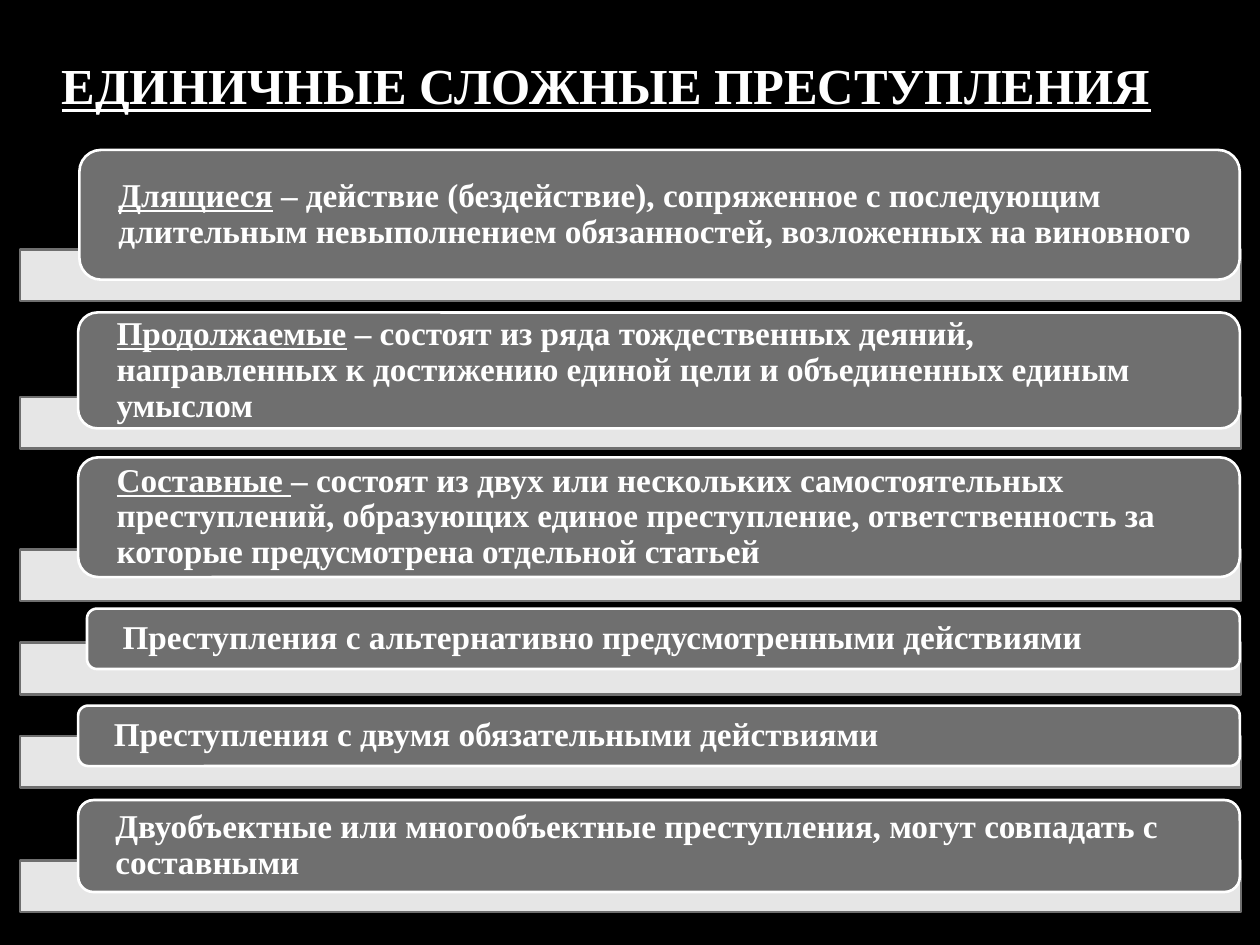
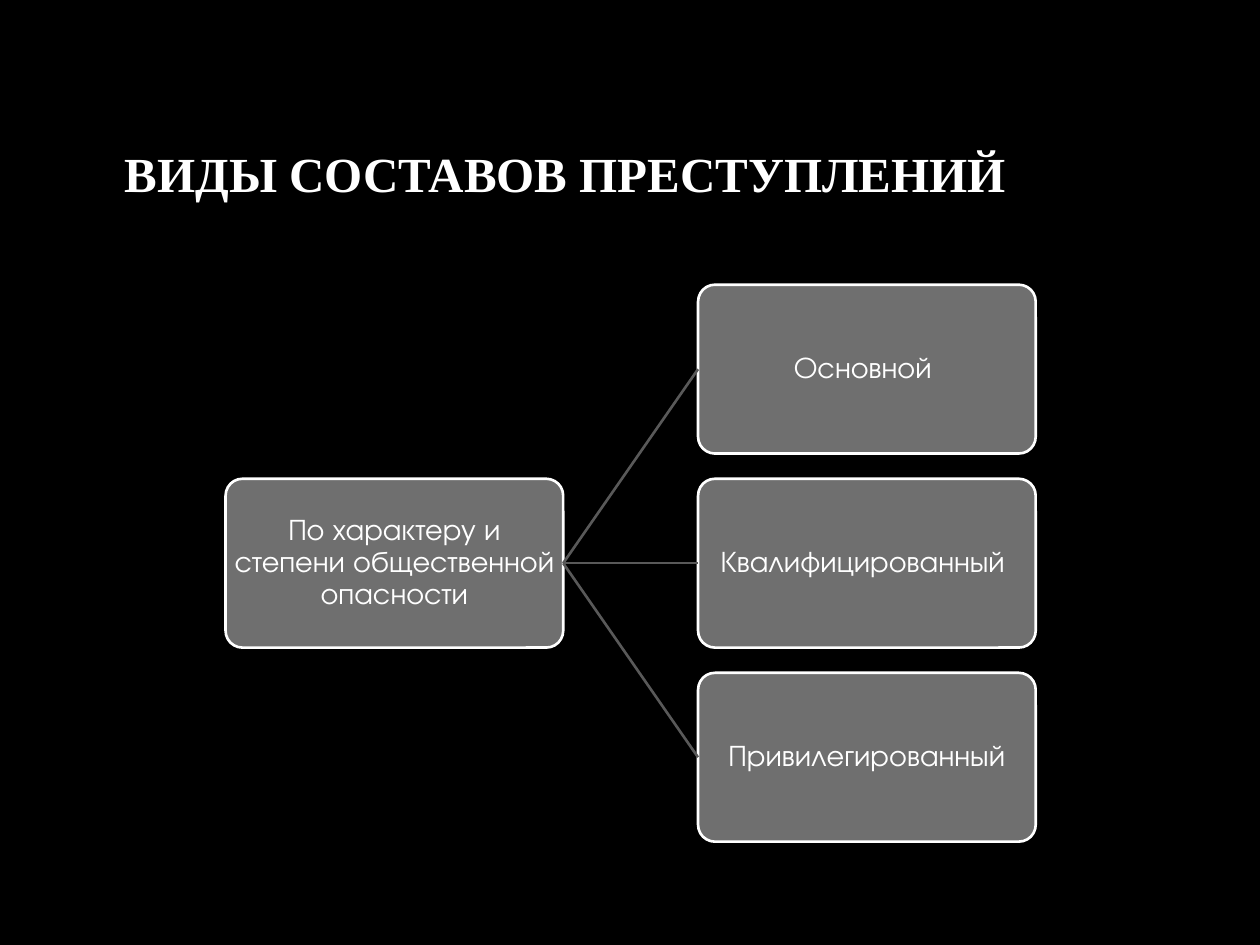
import dataclasses
import pptx
import pptx.util
import pptx.dml.color
import pptx.enum.shapes
import pptx.enum.text
import pptx.oxml.ns
import lxml.etree

Inches = pptx.util.Inches
Pt = pptx.util.Pt
ALIGN = pptx.enum.text.PP_ALIGN
SHAPE = pptx.enum.shapes.MSO_SHAPE


@dataclasses.dataclass(frozen=True)
class Theme:
    background: str = "000000"
    text: str = "FFFFFF"
    box: str = "6F6F6F"
    bar: str = "E6E6E6"
    link: str = "595959"
    serif: str = "Times New Roman"
    sans: str = "TeX Gyre Adventor"
    list_size: float = 19
    node_size: float = 17
    line: float = 1.5


def rgb(value):
    return pptx.dml.color.RGBColor.from_string(value)


def write(tf, paragraphs, *, font, size, color, bold=False,
          align=ALIGN.LEFT, spacing=None, margins=None):
    tf.word_wrap = True
    tf.auto_size = pptx.enum.text.MSO_AUTO_SIZE.NONE
    tf.vertical_anchor = pptx.enum.text.MSO_ANCHOR.MIDDLE
    if margins:
        tf.margin_left = tf.margin_right = Inches(margins[0])
        tf.margin_top = tf.margin_bottom = Inches(margins[1])
    for i, runs in enumerate(paragraphs):
        p = tf.add_paragraph() if i else tf.paragraphs[0]
        p.alignment = align
        p.line_spacing = spacing
        for text, underline in runs:
            r = p.add_run()
            r.text = text
            r.font.name = font
            r.font.size = Pt(size)
            r.font.bold = bold
            r.font.underline = underline
            r.font.color.rgb = rgb(color)


class Deck:
    def __init__(self, theme):
        self.theme = theme
        self.prs = pptx.Presentation()
        self.prs.slide_width = Inches(10)
        self.prs.slide_height = Inches(7.5)
        fill = self.prs.slide_master.background.fill
        fill.solid()
        fill.fore_color.rgb = rgb(theme.background)
        self.s = None

    def slide(self):
        self.s = self.prs.slides.add_slide(self.prs.slide_layouts[5])

    def title(self, text, x, y, w, h, size, underline=False):
        sp = self.s.shapes.title
        sp.left, sp.top, sp.width, sp.height = map(Inches, (x, y, w, h))
        write(sp.text_frame, [[(text, underline)]], font=self.theme.serif,
              size=size, color=self.theme.text, bold=True)

    def shape(self, kind, x, y, w, h, fill, line):
        sp = self.s.shapes.add_shape(kind, *map(Inches, (x, y, w, h)))
        sp.shadow.inherit = False
        sp.fill.solid()
        sp.fill.fore_color.rgb = rgb(fill)
        sp.line.color.rgb = rgb(line)
        sp.line.width = Pt(self.theme.line)
        return sp

    def bar(self, x, y, w, h):
        self.shape(SHAPE.RECTANGLE, x, y, w, h, self.theme.bar, self.theme.box)

    def box(self, x, y, w, h):
        return self.shape(SHAPE.ROUNDED_RECTANGLE, x, y, w, h,
                          self.theme.box, self.theme.text)

    def list_box(self, x, y, w, h, paragraphs):
        sp = self.box(x, y, w, h)
        write(sp.text_frame, paragraphs, font=self.theme.serif,
              size=self.theme.list_size, color=self.theme.text, bold=True,
              spacing=0.9, margins=(0.26, 0))

    def node(self, x, y, w, h, text):
        sp = self.box(x, y, w, h)
        sp.adjustments[0] = 0.1
        write(sp.text_frame, [[(text, False)]], font=self.theme.sans,
              size=self.theme.node_size, color=self.theme.text,
              align=ALIGN.CENTER, spacing=0.9, margins=(0.01, 0.01))
        return sp

    def link(self, start, end):
        c = self.s.shapes.add_connector(
            pptx.enum.shapes.MSO_CONNECTOR.STRAIGHT, 0, 0, 0, 0)
        c.begin_connect(start, 3)
        c.end_connect(end, 1)
        c.line.color.rgb = rgb(self.theme.link)
        c.line.width = Pt(self.theme.line)
        lxml.etree.SubElement(c._element.spPr,
                              pptx.oxml.ns.qn("a:effectLst"))


deck = Deck(Theme())

deck.slide()
deck.title("ЕДИНИЧНЫЕ СЛОЖНЫЕ ПРЕСТУПЛЕНИЯ", 0.39, 0.31, 9, 0.72, 28.8,
           underline=True)

RIGHT = 9.84
crimes = [
    (1.98, 0.63, 1.19, 1.03, [
        [("Длящиеся", True),
         (" – действие (бездействие), сопряженное с последующим ", False)],
        [("длительным невыполнением обязанностей, возложенных на виновного",
          False)]]),
    (3.15, 0.62, 2.48, 0.92, [
        [("Продолжаемые", True),
         (" – состоят из ряда тождественных деяний, направленных к "
          "достижению единой цели и объединенных единым умыслом", False)]]),
    (4.36, 0.62, 3.63, 0.95, [
        [("Составные ", True),
         ("– состоят из двух или нескольких самостоятельных преступлений, "
          "образующих единое преступление, ответственность за которые "
          "предусмотрена отдельной статьей ", False)]]),
    (5.1, 0.69, 4.83, 0.48, [
        [("Преступления с альтернативно предусмотренными действиями ",
          False)]]),
    (5.84, 0.62, 5.6, 0.48, [
        [("Преступления с двумя обязательными действиями", False)]]),
    (6.83, 0.62, 6.35, 0.73, [
        [("Двуобъектные или многообъектные преступления, могут совпадать с "
          "составными", False)]]),
]
for bar_y, x, y, h, paragraphs in crimes:
    deck.bar(0.16, bar_y, 9.69, 0.41)
    deck.list_box(x, y, RIGHT - x, h, paragraphs)

deck.slide()
deck.title("ВИДЫ СОСТАВОВ ПРЕСТУПЛЕНИЙ ", 0.89, 0.65, 8.21, 1.44, 28)

NODE_W, NODE_H, GAP, TOP = 2.68, 1.34, 0.2, 2.26
STEP = NODE_H + GAP
root = deck.node(1.79, TOP + STEP, NODE_W, NODE_H,
                 "По характеру и степени общественной опасности")
kinds = ["Основной ", "Квалифицированный ", "Привилегированный"]
for i, kind in enumerate(kinds):
    deck.link(root, deck.node(5.54, TOP + i * STEP, NODE_W, NODE_H, kind))

deck.prs.save("out.pptx")
